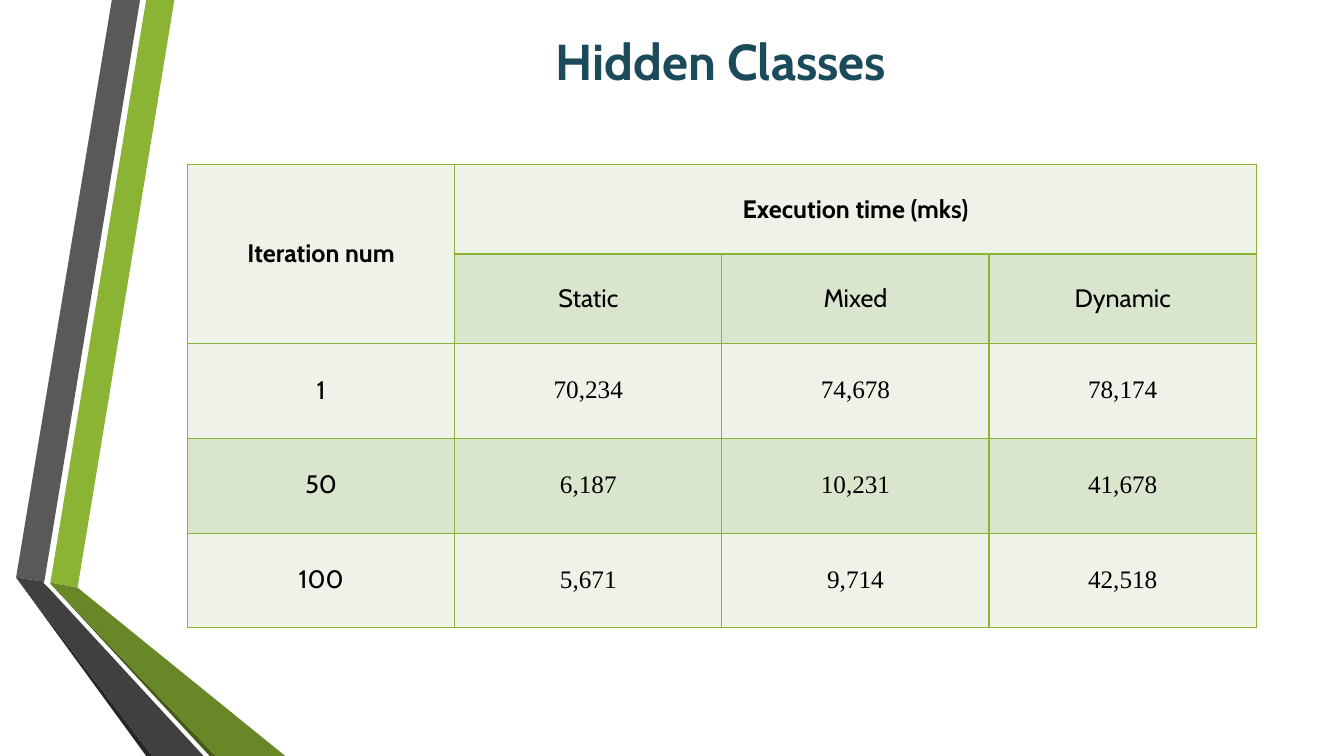
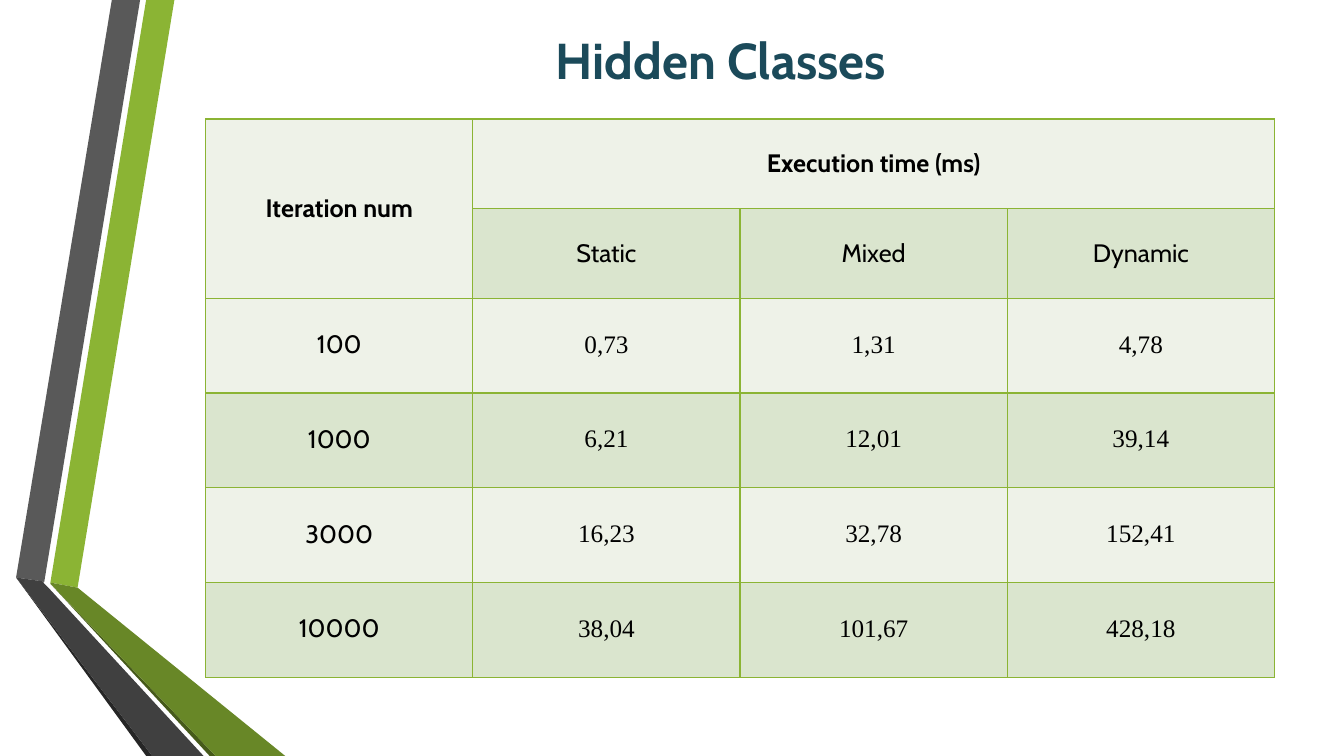
from dataclasses import dataclass

from lxml import etree
from pptx import Presentation
from pptx import util as u
from pptx.dml.color import RGBColor
from pptx.enum import text
from pptx.oxml import ns


@dataclass(frozen=True)
class Theme:
    title_color: str = "1B4A5A"
    body_color: str = "000000"
    border: str = "8BB434"
    row_fills: tuple[str, str] = ("EEF2E8", "DAE5CE")
    title_size: int = 36
    body_size: int = 18
    border_width: int = 1
    font: str = "Cabin"
    number_font: str = "Times New Roman"


@dataclass(frozen=True)
class Ribbon:
    color: str
    points: tuple[tuple[float, float], ...]


@dataclass(frozen=True)
class TimingSlide:
    unit: str
    title_height: float
    left: float
    top: float
    rows: tuple[tuple[str, ...], ...]


THEME = Theme()
TITLE = "Hidden Classes"
COLUMN_WIDTH, HEADER_HEIGHT, DATA_HEIGHT = 2.65, 0.89, 0.94
HEADER_ROWS = 2

# Folded ribbons along the left edge, back to front
RIBBONS = (
    Ribbon("8BB434", ((0.5, 5.78), (0.77, 5.83), (1.73, 0), (1.45, 0))),
    Ribbon("595959", ((1.39, 0), (1.11, 0), (0.16, 5.73), (0.44, 5.77))),
    Ribbon("262626", ((0.16, 5.73), (1.45, 7.5), (1.51, 7.5))),
    Ribbon("465A1A", ((0.5, 5.79), (2.08, 7.5), (2.14, 7.5))),
    Ribbon("688727", ((0.5, 5.78), (0.5, 5.79), (2.14, 7.5), (2.83, 7.5), (0.77, 5.83))),
    Ribbon("404040", ((2.02, 7.5), (0.48, 5.83), (0.43, 5.78), (0.44, 5.77),
                      (0.16, 5.73), (1.51, 7.5))),
)

TIMINGS = (
    TimingSlide("mks", 0.84, 1.86, 1.63, (
        ("1", "70,234", "74,678", "78,174"),
        ("50", "6,187", "10,231", "41,678"),
        ("100", "5,671", "9,714", "42,518"),
    )),
    TimingSlide("ms", 0.81, 2.04, 1.18, (
        ("100", "0,73", "1,31", "4,78"),
        ("1000", "6,21", "12,01", "39,14"),
        ("3000", "16,23", "32,78", "152,41"),
        ("10000", "38,04", "101,67", "428,18"),
    )),
)


def write_centered(frame, wording: str, size: int, color: str, font: str, bold: bool) -> None:
    paragraph = frame.paragraphs[0]
    paragraph.alignment = text.PP_ALIGN.CENTER
    run = paragraph.add_run()
    run.text = wording
    for name, value in {"name": font, "size": u.Pt(size), "bold": bold}.items():
        setattr(run.font, name, value)
    run.font.color.rgb = RGBColor.from_string(color)


def draw_ribbon(slide, ribbon: Ribbon) -> None:
    start, *rest = [(u.Inches(x), u.Inches(y)) for x, y in ribbon.points]
    builder = slide.shapes.build_freeform(*start)
    builder.add_line_segments(rest, close=True)
    outline = builder.convert_to_shape()
    outline.shadow.inherit = False
    outline.fill.solid()
    outline.fill.fore_color.rgb = RGBColor.from_string(ribbon.color)
    outline.line.fill.background()


def draw_title(slide, height: float) -> None:
    title = slide.shapes.add_textbox(
        u.Inches(1.67), u.Inches(0.18), u.Inches(10.96), u.Inches(height))
    title.text_frame.word_wrap = True
    title.text_frame.vertical_anchor = text.MSO_ANCHOR.MIDDLE
    write_centered(title.text_frame, TITLE, THEME.title_size,
                   THEME.title_color, THEME.font, True)


def draw_borders(cell) -> None:
    properties = cell._tc.get_or_add_tcPr()
    for index, side in enumerate(("lnL", "lnR", "lnT", "lnB")):
        line = etree.Element(ns.qn(f"a:{side}"), w=str(u.Pt(THEME.border_width)))
        fill = etree.SubElement(line, ns.qn("a:solidFill"))
        etree.SubElement(fill, ns.qn("a:srgbClr"), val=THEME.border)
        properties.insert(index, line)


def draw_cell(cell, wording: str, row: int, column: int) -> None:
    is_data = row >= HEADER_ROWS
    layout = {
        "vertical_anchor": text.MSO_ANCHOR.MIDDLE,
        "margin_left": u.Inches(0.1),
        "margin_right": u.Inches(0.1),
        "margin_top": u.Inches(0.05),
        "margin_bottom": u.Inches(0.07 if is_data else 0.05),
    }
    for name, value in layout.items():
        setattr(cell, name, value)
    cell.fill.solid()
    cell.fill.fore_color.rgb = RGBColor.from_string(THEME.row_fills[row % 2])
    draw_borders(cell)
    if wording:
        font = THEME.number_font if is_data and column else THEME.font
        write_centered(cell.text_frame, wording, THEME.body_size,
                       THEME.body_color, font, row == 0)


def draw_timings(slide, timing: TimingSlide) -> None:
    grid = (
        ("Iteration num", f"Execution time ({timing.unit})", "", ""),
        ("", "Static", "Mixed", "Dynamic"),
        *timing.rows,
    )
    heights = [HEADER_HEIGHT] * HEADER_ROWS + [DATA_HEIGHT] * len(timing.rows)
    columns = len(grid[0])
    table = slide.shapes.add_table(
        len(grid), columns, u.Inches(timing.left), u.Inches(timing.top),
        u.Inches(COLUMN_WIDTH * columns), u.Inches(sum(heights))).table
    table.first_row = table.horz_banding = False
    for column in table.columns:
        column.width = u.Inches(COLUMN_WIDTH)
    for row, height in zip(table.rows, heights):
        row.height = u.Inches(height)

    # Header spans: the iteration label goes down, the time label goes across
    table.cell(0, 0).merge(table.cell(1, 0))
    table.cell(0, 1).merge(table.cell(0, columns - 1))
    for row, wordings in enumerate(grid):
        for column, wording in enumerate(wordings):
            draw_cell(table.cell(row, column), wording, row, column)


def main() -> None:
    deck = Presentation()
    deck.slide_width, deck.slide_height = u.Inches(13.33), u.Inches(7.5)
    blank = deck.slide_layouts[6]
    for timing in TIMINGS:
        slide = deck.slides.add_slide(blank)
        for ribbon in RIBBONS:
            draw_ribbon(slide, ribbon)
        draw_title(slide, timing.title_height)
        draw_timings(slide, timing)
    deck.save("out.pptx")


if __name__ == "__main__":
    main()
